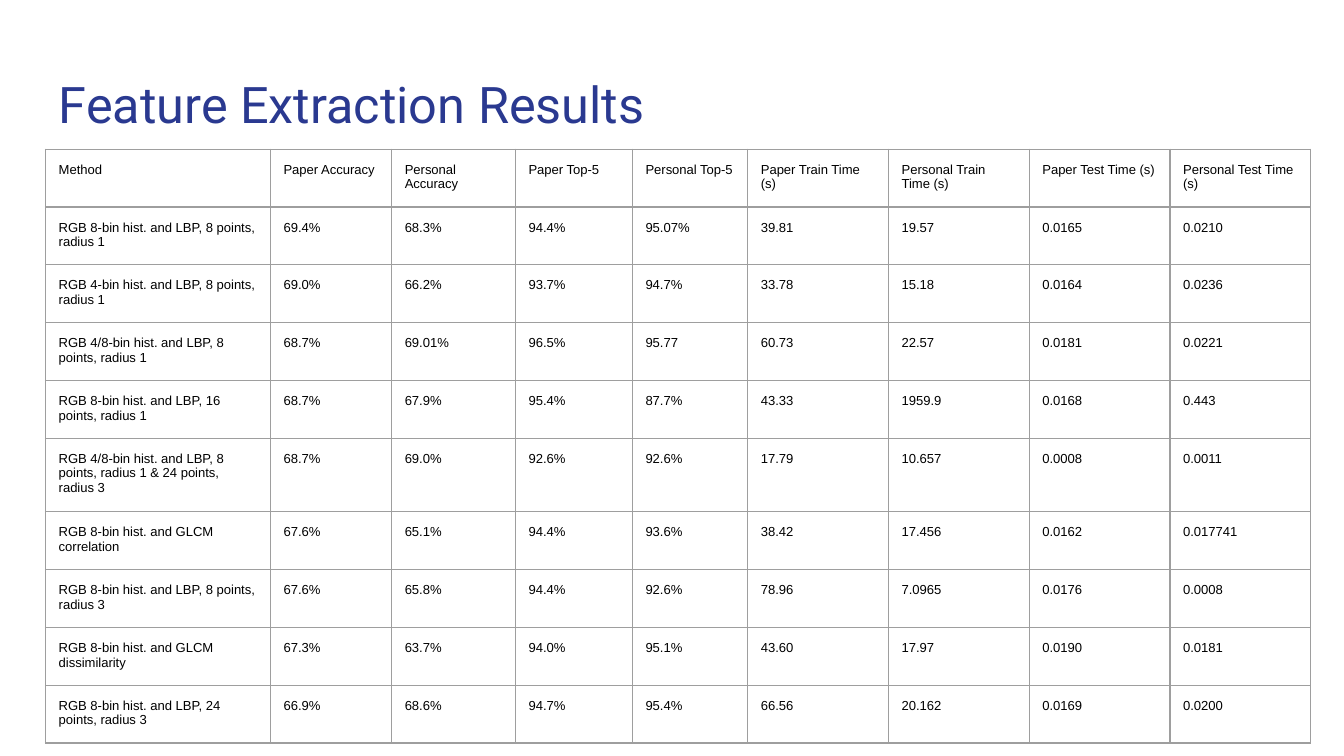
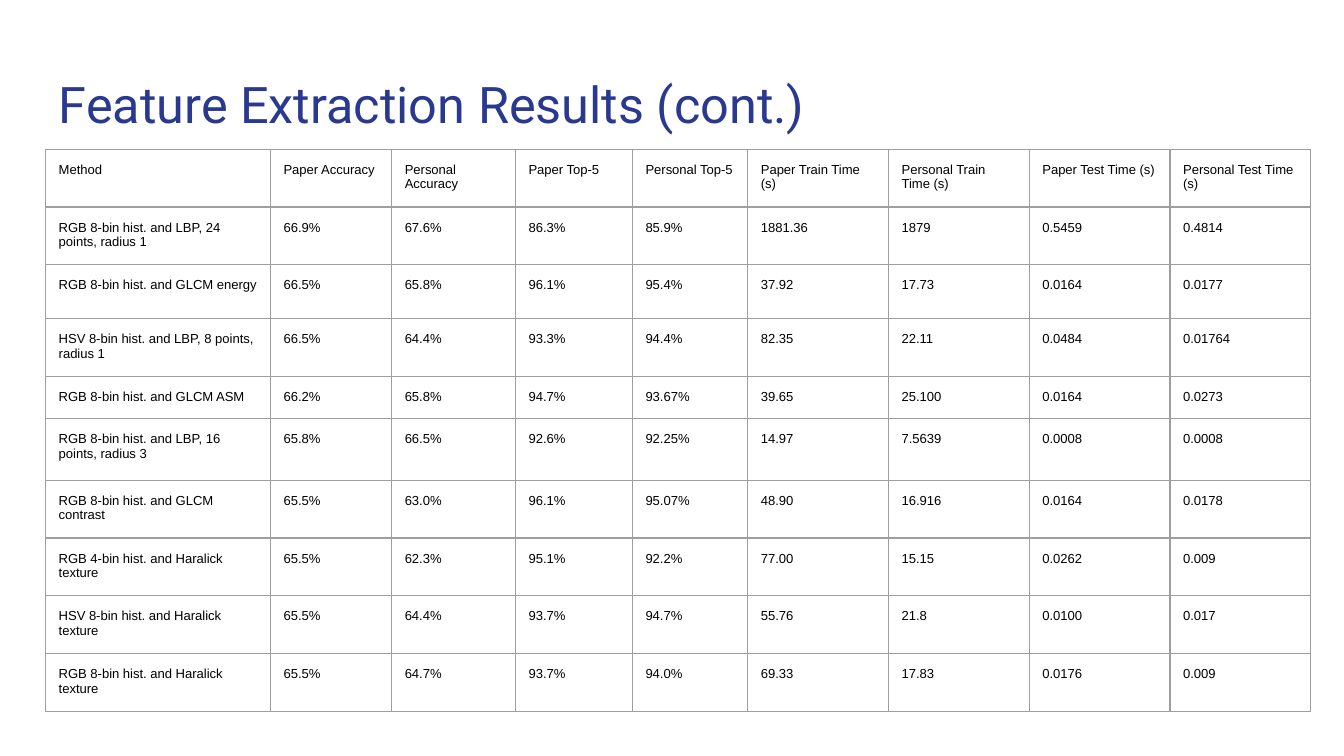
"""Builds two slides that compare published and personal feature extraction results."""
from lxml import etree
from pptx import Presentation
from pptx.dml.color import RGBColor
from pptx.enum import text
from pptx.oxml import ns
from pptx.util import Cm, Pt

TITLE_BLUE = RGBColor(0x2A, 0x39, 0x90)
BODY_BLACK = RGBColor(0x00, 0x00, 0x00)
GRID_GRAY = RGBColor(0x9E, 0x9E, 0x9E)

LEFT = Cm(0.86)
INSET = Cm(0.25)
TABLE_TOP = Cm(2.82)
COLUMN_WIDTHS = [4.25, 2.29, 2.34, 2.21, 2.18, 2.66, 2.66, 2.66, 2.66]
ROW_HEIGHTS = [1.02, 0.89, 1.02, 1.02, 0.76, 1.16, 1.02, 0.76, 0.76, 0.76]

HEADINGS = [
    "Method", "Paper Accuracy", "Personal Accuracy", "Paper Top-5", "Personal Top-5",
    "Paper Train Time (s)", "Personal Train Time (s)",
    "Paper Test Time (s)", "Personal Test Time (s)",
]
RESULTS = {
    "Feature Extraction Results": [
        ("RGB 8-bin hist. and LBP, 8 points, radius 1",
         "69.4% 68.3% 94.4% 95.07% 39.81 19.57 0.0165 0.0210"),
        ("RGB 4-bin hist. and LBP, 8 points, radius 1",
         "69.0% 66.2% 93.7% 94.7% 33.78 15.18 0.0164 0.0236"),
        ("RGB 4/8-bin hist. and LBP, 8 points, radius 1",
         "68.7% 69.01% 96.5% 95.77 60.73 22.57 0.0181 0.0221"),
        ("RGB 8-bin hist. and LBP, 16 points, radius 1",
         "68.7% 67.9% 95.4% 87.7% 43.33 1959.9 0.0168 0.443"),
        ("RGB 4/8-bin hist. and LBP, 8 points, radius 1 & 24 points, radius 3",
         "68.7% 69.0% 92.6% 92.6% 17.79 10.657 0.0008 0.0011"),
        ("RGB 8-bin hist. and GLCM correlation",
         "67.6% 65.1% 94.4% 93.6% 38.42 17.456 0.0162 0.017741"),
        ("RGB 8-bin hist. and LBP, 8 points, radius 3",
         "67.6% 65.8% 94.4% 92.6% 78.96 7.0965 0.0176 0.0008"),
        ("RGB 8-bin hist. and GLCM dissimilarity",
         "67.3% 63.7% 94.0% 95.1% 43.60 17.97 0.0190 0.0181"),
        ("RGB 8-bin hist. and LBP, 24 points, radius 3",
         "66.9% 68.6% 94.7% 95.4% 66.56 20.162 0.0169 0.0200"),
    ],
    "Feature Extraction Results (cont.)": [
        ("RGB 8-bin hist. and LBP, 24 points, radius 1",
         "66.9% 67.6% 86.3% 85.9% 1881.36 1879 0.5459 0.4814"),
        ("RGB 8-bin hist. and GLCM energy",
         "66.5% 65.8% 96.1% 95.4% 37.92 17.73 0.0164 0.0177"),
        ("HSV 8-bin hist. and LBP, 8 points, radius 1",
         "66.5% 64.4% 93.3% 94.4% 82.35 22.11 0.0484 0.01764"),
        ("RGB 8-bin hist. and GLCM ASM",
         "66.2% 65.8% 94.7% 93.67% 39.65 25.100 0.0164 0.0273"),
        ("RGB 8-bin hist. and LBP, 16 points, radius 3",
         "65.8% 66.5% 92.6% 92.25% 14.97 7.5639 0.0008 0.0008"),
        ("RGB 8-bin hist. and GLCM contrast",
         "65.5% 63.0% 96.1% 95.07% 48.90 16.916 0.0164 0.0178"),
        ("RGB 4-bin hist. and Haralick texture",
         "65.5% 62.3% 95.1% 92.2% 77.00 15.15 0.0262 0.009"),
        ("HSV 8-bin hist. and Haralick texture",
         "65.5% 64.4% 93.7% 94.7% 55.76 21.8 0.0100 0.017"),
        ("RGB 8-bin hist. and Haralick texture",
         "65.5% 64.7% 93.7% 94.0% 69.33 17.83 0.0176 0.009"),
    ],
}


def write(holder, words, face, size, color):
    frame = holder.text_frame
    frame.word_wrap = True
    frame.vertical_anchor = text.MSO_ANCHOR.TOP
    paragraph = frame.paragraphs[0]
    paragraph.text = words
    paragraph.font.name = face
    paragraph.font.size = Pt(size)
    paragraph.font.color.rgb = color
    margins = holder if hasattr(holder, "margin_left") else frame
    margins.margin_left = margins.margin_right = INSET
    margins.margin_top = margins.margin_bottom = INSET


def outline(cell):
    properties = cell._tc.get_or_add_tcPr()
    for side in ("a:lnL", "a:lnR", "a:lnT", "a:lnB"):
        line = etree.SubElement(properties, ns.qn(side), w=str(Pt(0.75)))
        fill = etree.SubElement(line, ns.qn("a:solidFill"))
        etree.SubElement(fill, ns.qn("a:srgbClr"), val=str(GRID_GRAY))


deck = Presentation()
deck.slide_width = Cm(25.4)
deck.slide_height = Cm(14.29)

for heading, methods in RESULTS.items():
    slide = deck.slides.add_slide(deck.slide_layouts[6])
    title = slide.shapes.add_textbox(LEFT, Cm(1.14), Cm(23.67), Cm(1.68))
    write(title, heading, "Roboto", 27, TITLE_BLUE)

    rows = [HEADINGS] + [[method, *figures.split()] for method, figures in methods]
    results = slide.shapes.add_table(
        len(rows), len(HEADINGS), LEFT, TABLE_TOP,
        Cm(sum(COLUMN_WIDTHS)), Cm(sum(ROW_HEIGHTS))).table
    results.first_row = False
    results.horz_banding = False
    for column, width in zip(results.columns, COLUMN_WIDTHS):
        column.width = Cm(width)
    for row, height, values in zip(results.rows, ROW_HEIGHTS, rows):
        row.height = Cm(height)
        for cell, value in zip(row.cells, values):
            write(cell, value, "Arial", 7, BODY_BLACK)
            outline(cell)
            cell.fill.background()

deck.save("out.pptx")
